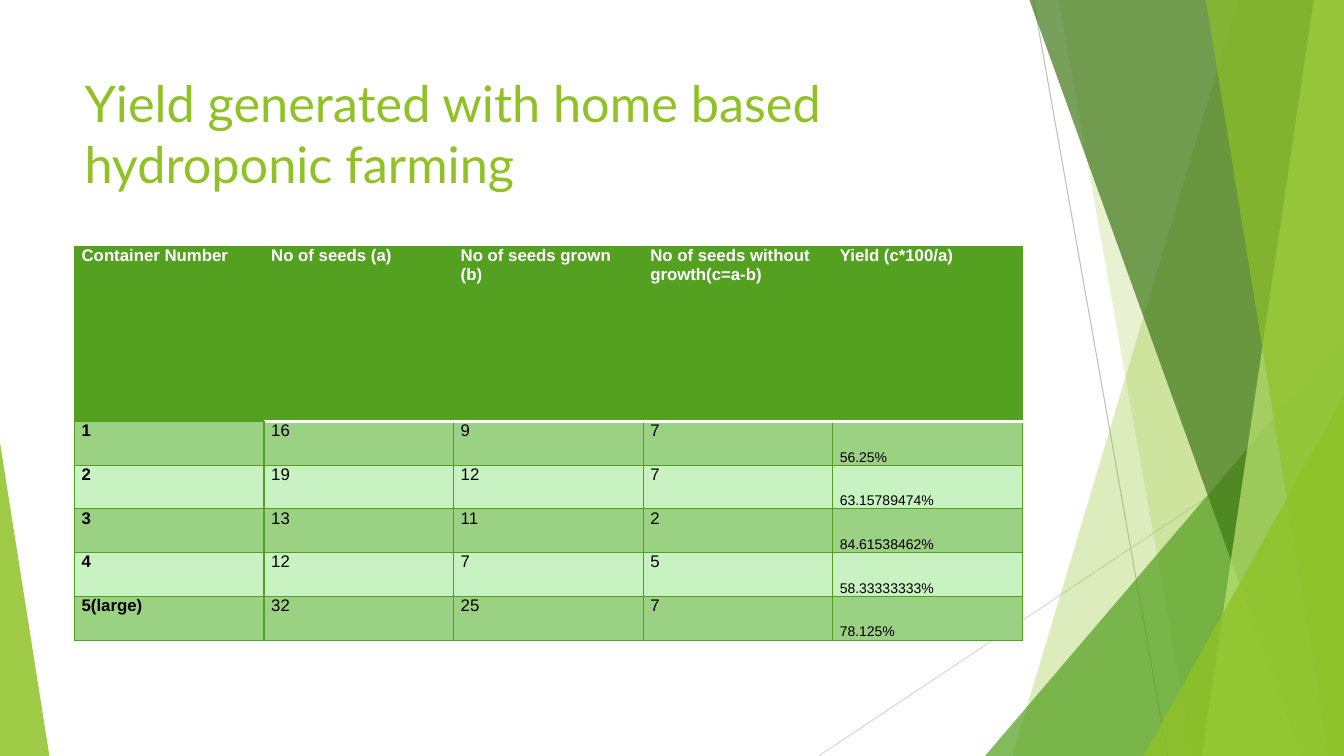
from dataclasses import dataclass

from lxml import etree
from pptx import Presentation
from pptx.dml.color import RGBColor
from pptx.enum import shapes, text
from pptx.oxml import ns
from pptx.util import Inches, Pt

TITLE = "Yield generated with home based hydroponic farming"
HEADER = ["Container Number", "No of seeds (a)", "No of seeds grown (b)",
          "No of seeds without growth(c=a-b)", "Yield (c*100/a)"]
ROWS = [
    ["1", "16", "9", "7", "56.25%"],
    ["2", "19", "12", "7", "63.15789474%"],
    ["3", "13", "11", "2", "84.61538462%"],
    ["4", "12", "7", "5", "58.33333333%"],
    ["5(large)", "32", "25", "7", "78.125%"],
]


@dataclass(frozen=True)
class Theme:
    lime: str = "90C226"
    pale_lime: str = "BFE471"
    green: str = "54A021"
    dark_green: str = "3F7818"
    border: str = "52A01D"
    band: str = "9BD182"
    light_band: str = "C9F2C3"
    white: str = "FFFFFF"
    black: str = "000000"
    title_font: str = "Lato"
    table_font: str = "Arial"
    title_size: float = 36
    table_size: float = 12
    yield_size: float = 10
    thin: float = 0.75
    thick: float = 2


T = Theme()
W, H = 13.33, 7.5
LEFT, TABLE_W = 0.74, 9.4
TABLE_TOP, HEADER_H, ROW_H = 2.44, 1.74, 0.434

# Start, end, colour
RAYS = [((10.25, 0), (11.58, H), "BFBFBF"), ((W, 4.03), (8.12, H), "D8D8D8")]
# Back to front. Band: top x, bottom x; it runs to the right edge.
# Wedge: left, top, width, apex position; it stands on the bottom edge.
FACETS = [
    ("band", (12.28, 10.04), T.lime, 30),
    ("band", (10.5, 11.83), T.lime, 20),
    ("wedge", (9.77, 3.33, 3.56, 1), T.green, 72),
    ("band", (10.21, 12.91), T.dark_green, 70),
    ("band", (13.03, 11.92), T.pale_lime, 70),
    ("band", (11.96, 13.18), T.lime, 65),
    ("wedge", (11.34, 3.93, 1.99, 1), T.lime, 80),
    ("wedge", (0, 4.39, 0.49, 0), T.lime, 85),
]


def rgb(code):
    return RGBColor.from_string(code)


def add_ray(s, start, end, color):
    ray = s.shapes.add_connector(shapes.MSO_CONNECTOR.STRAIGHT,
                                 *(Inches(v) for v in start + end))
    ray.line.color.rgb = rgb(color)
    ray.line.width = Pt(T.thin)
    etree.SubElement(ray._element.spPr, ns.qn("a:effectLst"))


def add_facet(s, kind, geometry, color, opacity):
    if kind == "band":
        top_x, bottom_x = geometry
        points = [(Inches(x), Inches(y)) for x, y in
                  [(top_x, 0), (W, 0), (W, H), (bottom_x, H)]]
        outline = s.shapes.build_freeform(*points[0], scale=1.0)
        outline.add_line_segments(points[1:], close=True)
        sp = outline.convert_to_shape()
    else:
        left, top, width, apex = geometry
        sp = s.shapes.add_shape(shapes.MSO_SHAPE.ISOSCELES_TRIANGLE, Inches(left),
                                Inches(top), Inches(width), Inches(H - top))
        sp.adjustments[0] = apex
    sp.shadow.inherit = False
    sp.line.fill.background()
    sp.fill.solid()
    sp.fill.fore_color.rgb = rgb(color)
    clr = sp._element.spPr.find(".//" + ns.qn("a:srgbClr"))
    etree.SubElement(clr, ns.qn("a:alpha"), val=str(opacity * 1000))


def write(tf, words, font, size, color, bold=False):
    r = tf.paragraphs[0].add_run()
    r.text = words
    r.font.name, r.font.size, r.font.bold = font, Pt(size), bold
    r.font.color.rgb = rgb(color)


def set_borders(cell, borders):
    tc_pr = cell._tc.get_or_add_tcPr()
    for side in "LRTB":
        color, width = borders.get(side, (T.border, T.thin))
        ln = etree.SubElement(tc_pr, ns.qn("a:ln" + side), w=str(Pt(width)))
        fill = etree.SubElement(ln, ns.qn("a:solidFill"))
        etree.SubElement(fill, ns.qn("a:srgbClr"), val=color)


def add_yield_table(s):
    rows = [HEADER] + ROWS
    last = len(HEADER) - 1
    table = s.shapes.add_table(len(rows), len(HEADER), Inches(LEFT), Inches(TABLE_TOP),
                               Inches(TABLE_W),
                               Inches(HEADER_H + ROW_H * len(ROWS))).table
    table.first_row = table.horz_banding = False
    for i, row in enumerate(rows):
        table.rows[i].height = Inches(ROW_H if i else HEADER_H)
        for j, words in enumerate(row):
            cell = table.cell(i, j)
            cell.margin_left = cell.margin_right = Inches(0.07)
            cell.margin_top = cell.margin_bottom = 0
            is_yield = i > 0 and j == last
            cell.vertical_anchor = (text.MSO_ANCHOR.BOTTOM if is_yield
                                    else text.MSO_ANCHOR.TOP)
            borders = {}
            if i and j < 2:
                borders["L" if j else "R"] = (T.green, T.thick)
            if i < 2 and j:
                borders["T" if i else "B"] = (T.white, T.thick)
            set_borders(cell, borders)
            cell.fill.solid()
            band = T.band if i % 2 else T.light_band
            cell.fill.fore_color.rgb = rgb(band if i else T.green)
            write(cell.text_frame, words, T.table_font,
                  T.yield_size if is_yield else T.table_size,
                  T.black if i else T.white, bold=i == 0 or j == 0)


def add_title(s):
    tf = s.shapes.add_textbox(Inches(LEFT), Inches(0.67), Inches(TABLE_W),
                              Inches(1.44)).text_frame
    tf.word_wrap = True
    write(tf, TITLE, T.title_font, T.title_size, T.lime)


def main():
    prs = Presentation()
    prs.slide_width, prs.slide_height = Inches(W), Inches(H)
    s = prs.slides.add_slide(prs.slide_layouts[6])
    for ray in RAYS:
        add_ray(s, *ray)
    for facet in FACETS:
        add_facet(s, *facet)
    add_title(s)
    add_yield_table(s)
    prs.save("out.pptx")


if __name__ == "__main__":
    main()
